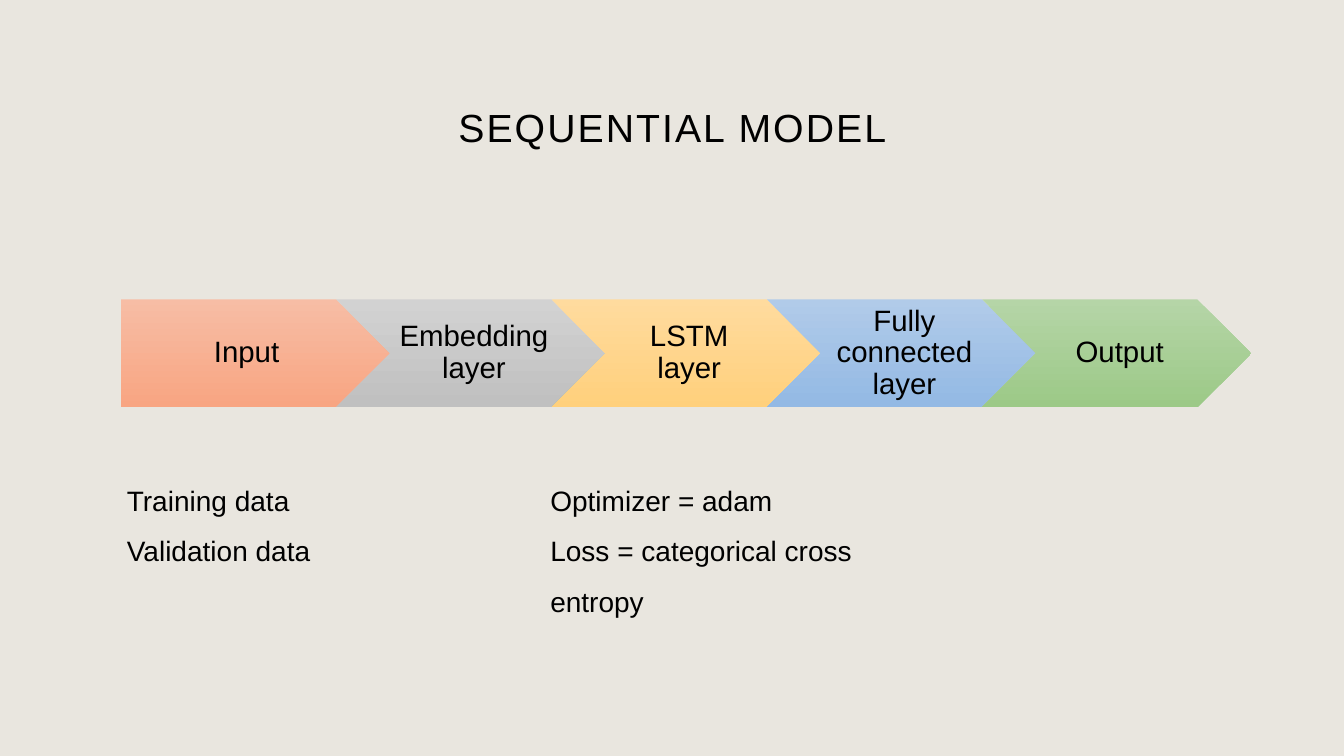
from pptx import Presentation
from pptx.dml.color import RGBColor
from pptx.enum.shapes import MSO_SHAPE
from pptx.enum.text import MSO_ANCHOR, MSO_AUTO_SIZE, PP_ALIGN
from pptx.util import Inches, Pt

FONT = "Arial"
COLORS = {
    "back": "E9E6DF",
    "text": "000000",
    "red": ("F7BDA5", "F8A582"),
    "gray": ("D2D2D2", "C0C0C0"),
    "gold": ("FFDB9E", "FFD07C"),
    "blue": ("B1CBE9", "93B9E4"),
    "green": ("B5D5A7", "9CC987"),
}
STEPS = [
    ("Input", "red"),
    ("Embedding layer", "gray"),
    ("LSTM layer", "gold"),
    ("Fully connected layer", "blue"),
    ("Output", "green"),
]
OVERLAP = 0.2  # share of each arrow that lies over the next


def rgb(value):
    return RGBColor.from_string(value)


def write(frame, lines, size, spacing, align=PP_ALIGN.LEFT):
    """Fill a text frame with one paragraph per line and return the runs."""
    frame.word_wrap = True
    runs = []
    for i, line in enumerate(lines):
        para = frame.add_paragraph() if i else frame.paragraphs[0]
        para.alignment = align
        para.line_spacing = spacing
        run = para.add_run()
        run.text = line
        run.font.name = FONT
        run.font.size = Pt(size)
        run.font.color.rgb = rgb(COLORS["text"])
        runs.append(run)
    return runs


def add_title(slide, text, left, top, width, height):
    box = slide.shapes.add_textbox(
        Inches(left), Inches(top), Inches(width), Inches(height))
    frame = box.text_frame
    frame.vertical_anchor = MSO_ANCHOR.MIDDLE
    for run in write(frame, [text], 28, 0.9, PP_ALIGN.CENTER):
        run._r.get_or_add_rPr().set("spc", "150")


def add_flow(slide, steps, left, top, width, height):
    """Draw a row of overlapping arrows that spans the box."""
    span = width / (len(steps) - (len(steps) - 1) * OVERLAP)
    pitch = span * (1 - OVERLAP)
    for i, (label, tone) in enumerate(steps):
        kind = MSO_SHAPE.CHEVRON if i else MSO_SHAPE.PENTAGON
        arrow = slide.shapes.add_shape(
            kind, Inches(left + i * pitch), Inches(top),
            Inches(span), Inches(height))
        arrow.shadow.inherit = False
        arrow.line.fill.background()
        arrow.fill.gradient()
        arrow.fill.gradient_angle = 270
        for stop, color in zip(arrow.fill.gradient_stops, COLORS[tone]):
            stop.color.rgb = rgb(color)
        frame = arrow.text_frame
        frame.margin_left = Inches(0.09 if i else 0.12)
        frame.margin_right = Inches(0.03)
        frame.margin_top = frame.margin_bottom = Inches(0.06)
        frame.vertical_anchor = MSO_ANCHOR.MIDDLE
        write(frame, [label], 21, 0.9, PP_ALIGN.CENTER)


def add_notes(slide, lines, left, top, width, height):
    box = slide.shapes.add_textbox(
        Inches(left), Inches(top), Inches(width), Inches(height))
    box.text_frame.auto_size = MSO_AUTO_SIZE.SHAPE_TO_FIT_TEXT
    write(box.text_frame, lines, 20, 1.5)


def main():
    deck = Presentation()
    deck.slide_width, deck.slide_height = Inches(13.33), Inches(7.5)
    slide = deck.slides.add_slide(deck.slide_layouts[6])
    slide.background.fill.solid()
    slide.background.fill.fore_color.rgb = rgb(COLORS["back"])
    add_title(slide, "SEQUENTIAL MODEL", 0.92, 0.56, 11.5, 1.45)
    add_flow(slide, STEPS, 1.2, 2.97, 11.21, 1.07)
    add_notes(slide, ["Training data", "Validation data"],
              1.16, 4.58, 4.06, 1.07)
    add_notes(slide, ["Optimizer = adam", "Loss = categorical cross entropy"],
              5.36, 4.58, 4.06, 1.07)
    deck.save("out.pptx")


if __name__ == "__main__":
    main()
